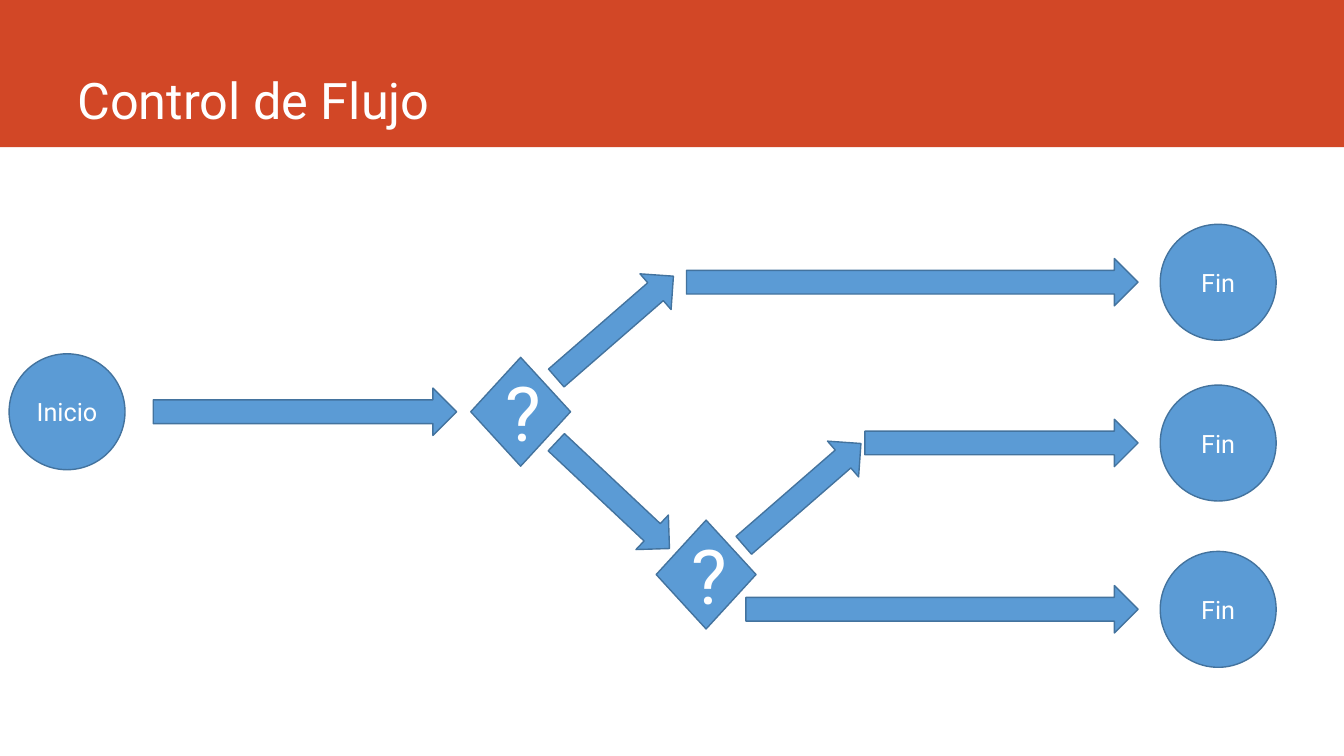
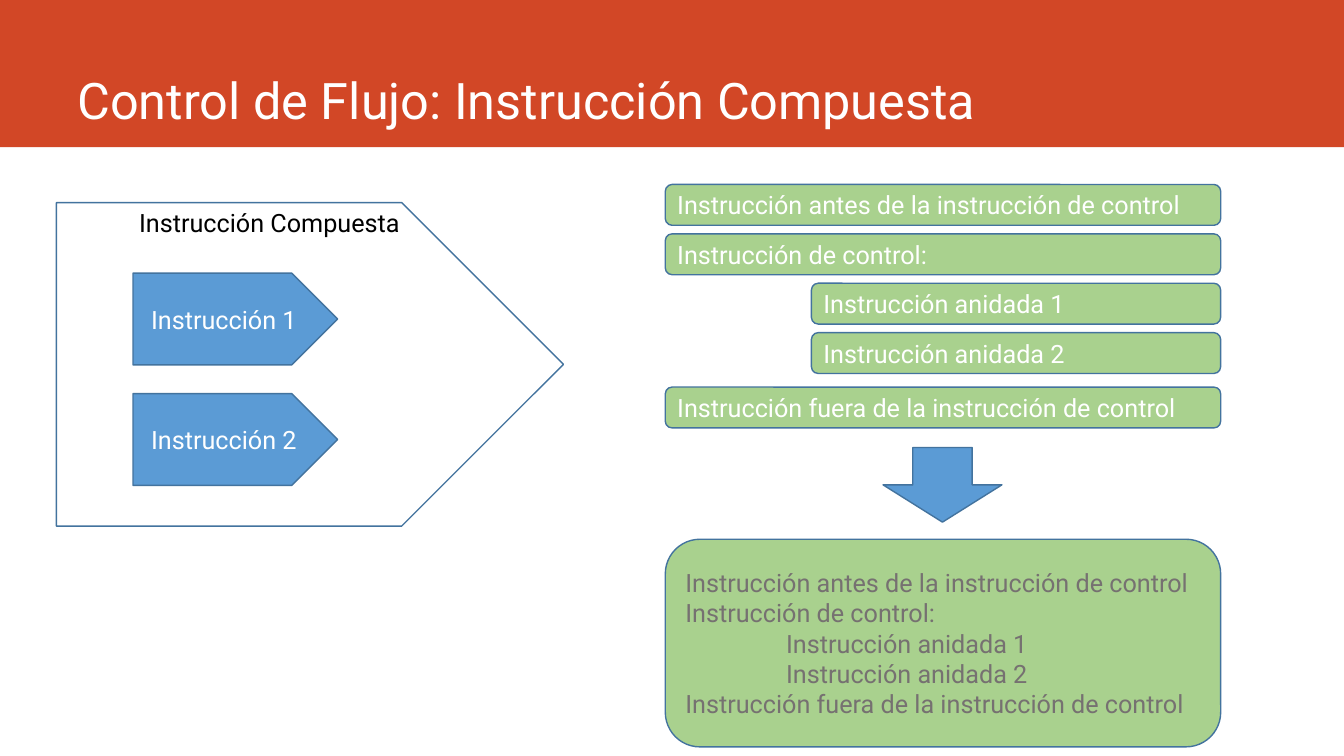
from dataclasses import dataclass

from pptx import Presentation
from pptx import util as u
from pptx.dml.color import RGBColor
from pptx.enum import shapes, text

COLORS = {
    "band": "D24726",
    "blue": "5B9BD5",
    "edge": "43739E",
    "green": "A9D18E",
    "white": "FFFFFF",
    "black": "000000",
    "gray": "767171",
}
FONT = "Roboto"
CELL = 0.1
COLUMNS, ROWS = 133.33, 75
KIND = shapes.MSO_SHAPE
ALIGN = text.PP_ALIGN
ANCHOR = text.MSO_ANCHOR

CIRCLE = 11.5
ARROW_HEIGHT = 4.7
LANE_END = 112.9
MAIN_ROW = 40.85
INSTRUCTIONS = (
    ("Instrucción antes de la instrucción de control", False),
    ("Instrucción de control:", False),
    ("Instrucción anidada 1", True),
    ("Instrucción anidada 2", True),
    ("Instrucción fuera de la instrucción de control", False),
)


@dataclass(frozen=True)
class Area:
    """Rectangle measured in grid columns and rows."""

    column: float
    row: float
    columns: float
    rows: float

    def lengths(self) -> list[int]:
        """Return left, top, width and height."""
        return [cells(n) for n in (self.column, self.row, self.columns, self.rows)]


@dataclass(frozen=True)
class Line:
    """One paragraph and its indent in columns."""

    words: str
    indent: float = 0


@dataclass(frozen=True)
class Style:
    """Look of a paragraph group."""

    size: float = 18
    color: str = "white"
    align: ALIGN = ALIGN.CENTER
    anchor: ANCHOR = ANCHOR.MIDDLE
    spacing: float = 1.0


@dataclass(frozen=True)
class Block:
    """Preset shape with optional text."""

    kind: KIND
    area: Area
    lines: tuple[Line, ...] = ()
    style: Style = Style()
    fill: str | None = "blue"
    edge: str | None = "edge"
    rotation: float = 0


TITLE = Style(36, align=ALIGN.LEFT, anchor=ANCHOR.BOTTOM, spacing=0.9)
QUESTION = Style(54)
HEADING = Style(color="black", anchor=ANCHOR.TOP)
STEP = Style(align=ALIGN.LEFT)
LISTING = Style(color="gray", align=ALIGN.LEFT)


def cells(count: float) -> int:
    """Convert grid cells to a length."""
    return u.Inches(count * CELL)


def rgb(name: str) -> RGBColor:
    """Look up a named colour."""
    return RGBColor.from_string(COLORS[name])


def write(box, lines: tuple[Line, ...], style: Style) -> None:
    """Fill a shape's text frame run by run."""
    frame = box.text_frame
    frame.word_wrap = True
    frame.vertical_anchor = style.anchor
    for index, line in enumerate(lines):
        para = frame.add_paragraph() if index else frame.paragraphs[0]
        para.alignment = style.align
        para.line_spacing = style.spacing
        if line.indent:
            para._p.get_or_add_pPr().set("marL", str(cells(line.indent)))
        span = para.add_run()
        span.text = line.words
        span.font.name = FONT
        span.font.size = u.Pt(style.size)
        span.font.color.rgb = rgb(style.color)


def draw(page, block: Block) -> None:
    """Draw one block on the page."""
    box = page.shapes.add_shape(block.kind, *block.area.lengths())
    box.shadow.inherit = False
    box.rotation = block.rotation
    if block.fill:
        box.fill.solid()
        box.fill.fore_color.rgb = rgb(block.fill)
    else:
        box.fill.background()
    if block.edge:
        box.line.color.rgb = rgb(block.edge)
        box.line.width = u.Pt(1)
    else:
        box.line.fill.background()
    if block.lines:
        write(box, block.lines, block.style)


def add_page(deck, title: str, blocks: list[Block]) -> None:
    """Add a page with the title band and its blocks."""
    page = deck.slides.add_slide(deck.slide_layouts[6])
    draw(page, Block(KIND.RECTANGLE, Area(0, 0, COLUMNS, 14.6), fill="band", edge=None))
    box = page.shapes.add_textbox(*Area(6.7, 0, 117.5, 13.4).lengths())
    write(box, (Line(title),), TITLE)
    for block in blocks:
        draw(page, block)


def circle(label: str, column: float, middle: float) -> Block:
    """Make a terminal centred on a row."""
    area = Area(column, middle - CIRCLE / 2, CIRCLE, CIRCLE)
    return Block(KIND.OVAL, area, (Line(label),))


def arrow(start: float, end: float, middle: float, rotation: float = 0) -> Block:
    """Make an arrow centred on a row."""
    area = Area(start, middle - ARROW_HEIGHT / 2, end - start, ARROW_HEIGHT)
    return Block(KIND.RIGHT_ARROW, area, rotation=rotation)


def slanted(center: float, middle: float, rotation: float) -> Block:
    """Make a branch arrow around its centre."""
    return arrow(center - 7.7, center + 7.7, middle, rotation)


def decision(column: float, middle: float) -> Block:
    """Make a question diamond centred on a row."""
    area = Area(column, middle - 5.4, 9.9, 10.8)
    return Block(KIND.FLOWCHART_DECISION, area, (Line("?"),), QUESTION)


def flow_blocks() -> list[Block]:
    """List the blocks of the branching diagram."""
    blocks = [
        arrow(15.2, 45.3, MAIN_ROW),
        decision(46.7, MAIN_ROW),
        slanted(61, 32.45, 319),
        slanted(60.8, 49.15, 43.2),
        decision(65.1, 57),
        slanted(79.6, 49.05, 319),
        circle("Inicio", 0.9, MAIN_ROW),
    ]
    for start, middle in ((68.1, 28), (85.8, 43.95), (74, 60.45)):
        blocks += [arrow(start, LANE_END, middle), circle("Fin", 115.1, middle)]
    return blocks


def compound_blocks() -> list[Block]:
    """List the blocks of the compound instruction."""
    blocks = [
        Block(KIND.PENTAGON, Area(13.2, 27.1 + 11.95 * index, 20.3, 9.1),
              (Line(f"Instrucción {index + 1}"),))
        for index in range(2)
    ]
    blocks.append(Block(KIND.PENTAGON, Area(5.6, 20.1, 50.3, 32.1),
                        (Line("Instrucción Compuesta"),), HEADING, fill=None))
    left, right, last = 66, 121.1, len(INSTRUCTIONS) - 1
    for index, (words, nested) in enumerate(INSTRUCTIONS):
        column = left + 14.5 * nested
        row = 18.3 + 4.9 * index + 0.5 * (index == last)
        blocks.append(Block(KIND.ROUNDED_RECTANGLE, Area(column, row, right - column, 4.05),
                            (Line(words),), STEP, "green"))
    listing = tuple(Line(words, 10 * nested) for words, nested in INSTRUCTIONS)
    blocks += [
        Block(KIND.ROUNDED_RECTANGLE, Area(left, 53.5, right - left, 20.6),
              listing, LISTING, "green"),
        Block(KIND.DOWN_ARROW, Area(87.6, 44.4, 11.8, 7.4)),
    ]
    return blocks


def main() -> None:
    """Build and save the deck."""
    deck = Presentation()
    deck.slide_width, deck.slide_height = cells(COLUMNS), cells(ROWS)
    add_page(deck, "Control de Flujo", flow_blocks())
    add_page(deck, "Control de Flujo: Instrucción Compuesta", compound_blocks())
    deck.save("out.pptx")


if __name__ == "__main__":
    main()
